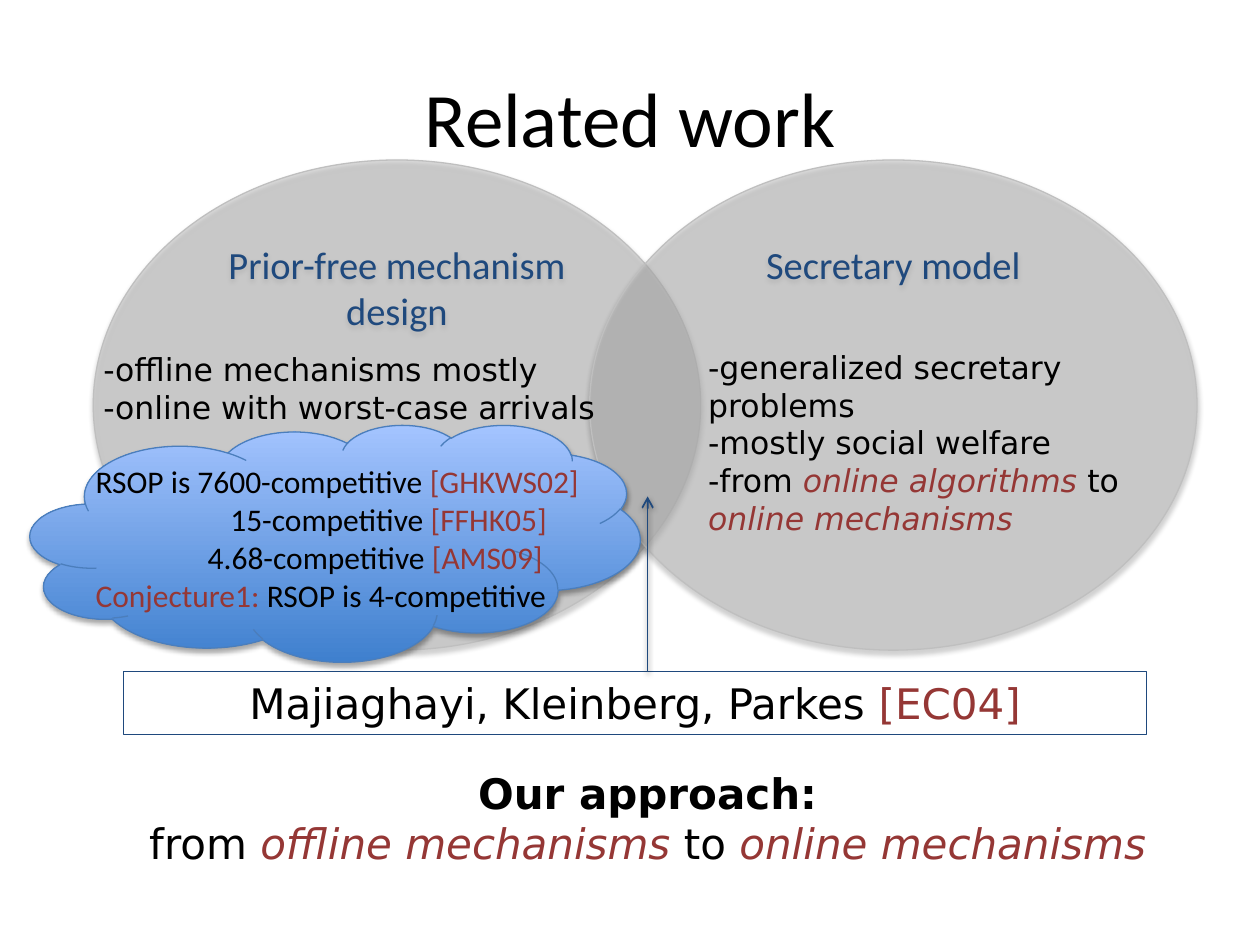
import pptx
import pptx.util
import pptx.dml.color
import pptx.enum.shapes
import pptx.enum.text
import pptx.oxml
import pptx.oxml.ns
from dataclasses import dataclass
from typing import Any, NamedTuple

Shape = pptx.enum.shapes.MSO_SHAPE
Align = pptx.enum.text.PP_ALIGN
Anchor = pptx.enum.text.MSO_ANCHOR
qn = pptx.oxml.ns.qn

COLORS = {
    "text": "000000", "accent": "953735", "heading": "1F497D", "circle": "BFBFBF",
    "cloud_low": "3F80CE", "cloud_high": "A4C4FF", "cloud_edge": "4B7EBC",
}
NS = 'xmlns:a="http://schemas.openxmlformats.org/drawingml/2006/main"'

# Grid of 100 columns by 75 rows
deck = pptx.Presentation()
deck.slide_width, deck.slide_height = pptx.util.Inches(10), pptx.util.Inches(7.5)
COLUMN, ROW = deck.slide_width / 100, deck.slide_height / 75


class Area(NamedTuple):
    col: float
    row: float
    cols: float
    rows: float

    def lengths(self) -> list[int]:
        return [round(n * unit) for n, unit in zip(self, (COLUMN, ROW) * 2)]


class Span(NamedTuple):
    text: str
    color: str = "text"
    bold: bool = False
    italic: bool = False


@dataclass
class Line:
    spans: list[Span]
    indent: float = 0  # in columns


@dataclass
class Circle:
    area: Area
    heading: str


def accent(text: str, italic: bool = False) -> Span:
    return Span(text, "accent", italic=italic)


def rgb(name: str) -> pptx.dml.color.RGBColor:
    return pptx.dml.color.RGBColor.from_string(COLORS[name])


def set_all(target: Any, values: dict[str, Any]) -> None:
    for name, value in values.items():
        setattr(target, name, value)


def place(shape: Any, area: Area) -> None:
    set_all(shape, dict(zip(("left", "top", "width", "height"), area.lengths())))


def write(shape: Any, lines: list[Line], size: float, face: str,
          align: Any = Align.LEFT, **frame_format: Any) -> None:
    frame = shape.text_frame
    set_all(frame, {"word_wrap": True, "auto_size": pptx.enum.text.MSO_AUTO_SIZE.NONE,
                    "vertical_anchor": Anchor.TOP, **frame_format})
    for number, line in enumerate(lines):
        paragraph = frame.add_paragraph() if number else frame.paragraphs[0]
        props = paragraph._p.get_or_add_pPr()
        props.set("marL", str(round(line.indent * COLUMN)))
        props.set("indent", "0")
        props.append(pptx.oxml.parse_xml(f"<a:buNone {NS}/>"))
        set_all(paragraph, {"alignment": align, "space_before": pptx.util.Pt(0)})
        for span in line.spans:
            run = paragraph.add_run()
            run.text = span.text
            set_all(run.font, {"size": pptx.util.Pt(size), "name": face,
                               "bold": span.bold, "italic": span.italic})
            run.font.color.rgb = rgb(span.color)


def outline(shape: Any, color: str, width: float) -> None:
    shape.line.color.rgb = rgb(color)
    shape.line.width = pptx.util.Pt(width)


def drop_shadow(shape: Any, opacity: int, blur: float, distance: float) -> None:
    for old in shape._element.spPr.findall(qn("a:effectLst")):
        shape._element.spPr.remove(old)
    shape._element.spPr.append(pptx.oxml.parse_xml(
        f'<a:effectLst {NS}><a:outerShdw blurRad="{pptx.util.Pt(blur)}" '
        f'dist="{pptx.util.Pt(distance)}" dir="5400000" rotWithShape="0">'
        f'<a:srgbClr val="000000"><a:alpha val="{opacity * 1000}"/></a:srgbClr>'
        f'</a:outerShdw></a:effectLst>'))


def draw_circle(shapes: Any, circle: Circle) -> None:
    ellipse = shapes.add_shape(Shape.OVAL, *circle.area.lengths())
    ellipse.fill.solid()
    ellipse.fill.fore_color.rgb = rgb("circle")
    fill = ellipse._element.spPr.find(qn("a:solidFill"))
    fill[0].append(pptx.oxml.parse_xml(f'<a:alpha {NS} val="50000"/>'))
    outline(ellipse, "circle", 0.75)
    drop_shadow(ellipse, 35, 3.1, 1.8)
    write(ellipse, [Line([Span(circle.heading, "heading")])], 22, "Calibri",
          Align.CENTER, margin_top=round(0.7 * ROW))


CIRCLES = [
    Circle(Area(7.4, 12.7, 48.2, 38.9), "Prior-free mechanism design"),
    Circle(Area(46.8, 12.7, 48.2, 38.9), "Secretary model"),
]
TOPICS = [
    (Area(7.2, 27.3, 43.6, 10.1), [
        Line([Span("-offline mechanisms mostly")]),
        Line([Span("-online with worst-case arrivals")]),
    ]),
    (Area(55.2, 27.1, 39.8, 16.2), [
        Line([Span("-generalized secretary problems")]),
        Line([Span("-mostly social welfare")]),
        Line([Span("-from "), accent("online algorithms ", True), Span("to "),
              accent("online mechanisms", True)]),
    ]),
]
APPROACH = [
    Line([Span("Our approach:", bold=True)]),
    Line([Span("from "), accent("offline mechanisms ", True), Span("to "),
          accent("online mechanisms", True)]),
]
BOUNDS = [
    Line([Span("RSOP is 7600-competitive "), accent("[GHKWS02]")]),
    Line([Span("15-competitive "), accent("[FFHK05]")], indent=10.7),
    Line([Span("4.68-competitive "), accent("[AMS09]")], indent=8.9),
    Line([accent("Conjecture1:"), Span(" RSOP is 4-competitive")]),
]

# Title and the two overlapping fields
slide = deck.slides.add_slide(deck.slide_layouts.get_by_name("Two Content"))
shapes = slide.shapes
title, *topic_lists = slide.placeholders
place(title, Area(5, 3, 90, 12.5))
write(title, [Line([Span("Related work")])], 44, "Calibri", Align.CENTER,
      vertical_anchor=Anchor.MIDDLE)
for circle in CIRCLES:
    draw_circle(shapes, circle)

# Our approach, then the topics in front of the fields
approach = shapes.add_textbox(*Area(10.8, 60.4, 81.2, 9.1).lengths())
write(approach, APPROACH, 24, "DejaVu Sans", Align.CENTER)
for topic_list, (area, lines) in zip(topic_lists, TOPICS):
    shapes._spTree.append(topic_list._element)
    place(topic_list, area)
    write(topic_list, lines, 18, "DejaVu Sans")

# Work in the overlap, with its arrow
citation = shapes.add_shape(Shape.RECTANGLE, *Area(9.8, 53.3, 81.2, 5).lengths())
citation.shadow.inherit = False
citation.fill.background()
outline(citation, "heading", 1)
write(citation, [Line([Span("Majiaghayi, Kleinberg, Parkes "), accent("[EC04]")])],
      24, "DejaVu Sans", Align.CENTER)
pointer = shapes.add_connector(
    pptx.enum.shapes.MSO_CONNECTOR.STRAIGHT,
    *Area(51.4, 53.3, 51.4, 39.4).lengths())
outline(pointer, "heading", 1)
pointer.line._get_or_add_ln().append(
    pptx.oxml.parse_xml(f'<a:tailEnd {NS} type="arrow"/>'))
drop_shadow(pointer, 38, 3.1, 1.6)

# Cloud of competitive ratios
cloud = shapes.add_shape(Shape.CLOUD, *Area(2.4, 33.7, 48.4, 18.8).lengths())
cloud.fill.gradient()
cloud.fill.gradient_angle = 90
for stop, position, color in zip(cloud.fill.gradient_stops, (0, 1),
                                 ("cloud_low", "cloud_high")):
    stop.position = position
    stop.color.rgb = rgb(color)
outline(cloud, "cloud_edge", 0.75)
drop_shadow(cloud, 35, 3.1, 1.8)
ratios = shapes.add_textbox(*Area(6.6, 36.2, 40.8, 13.1).lengths())
write(ratios, BOUNDS, 18, "Calibri", margin_right=0)

deck.save("out.pptx")
